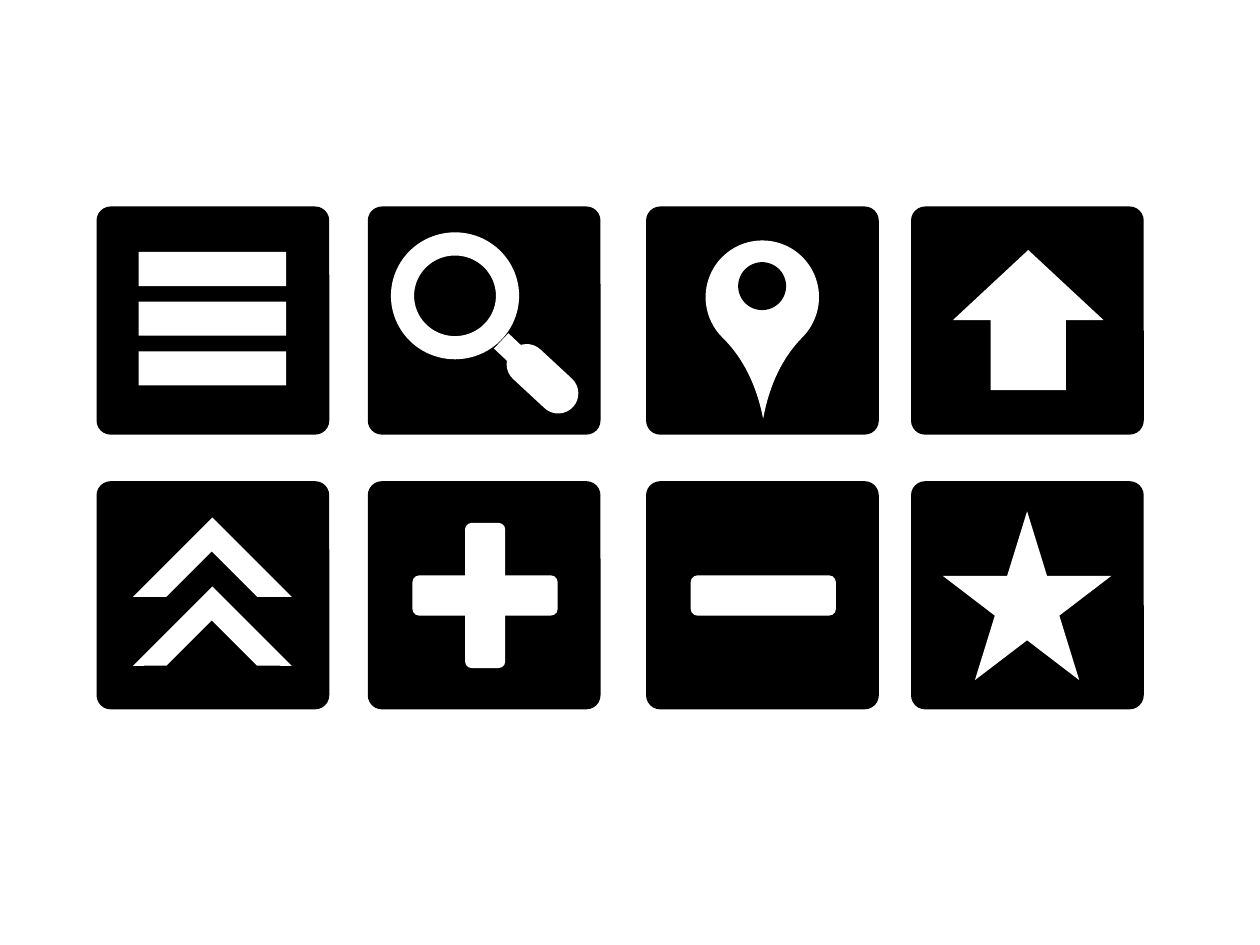
from pptx import Presentation
from pptx.dml.color import RGBColor
from pptx.enum.shapes import MSO_CONNECTOR, MSO_SHAPE
from pptx.oxml.ns import qn
from pptx.util import Pt
from lxml.etree import SubElement

BLACK, WHITE = "000000", "FFFFFF"


def add_icon_part(shapes, kind, left, top, width, height, color=WHITE, rotation=0, adjustments=()):
    """Add a filled preset shape without outline, measured in points."""
    part = shapes.add_shape(kind, Pt(left), Pt(top), Pt(width), Pt(height))
    part.shadow.inherit = False
    part.fill.solid()
    part.fill.fore_color.rgb = RGBColor.from_string(color)
    part.line.fill.background()
    part.rotation = rotation
    for index, value in enumerate(adjustments):
        part.adjustments[index] = value
    return part


def add_handle(shapes, start, end, weight, cap):
    """Add a white line with the given end cap, measured in points."""
    handle = shapes.add_connector(MSO_CONNECTOR.STRAIGHT, *map(Pt, start + end))
    handle.line.color.rgb = RGBColor.from_string(WHITE)
    handle.line.width = Pt(weight)
    handle.line._get_or_add_ln().set("cap", cap)
    SubElement(handle._element.spPr, qn("a:effectLst"))


deck = Presentation()
deck.slide_width, deck.slide_height = Pt(720), Pt(540)
slide = deck.slides.add_slide(deck.slide_layouts[6])
shapes = slide.shapes

# Black tiles, two rows of four
for top in (118, 275):
    for left in (55.2, 210.2, 369.2, 520.6):
        add_icon_part(shapes, MSO_SHAPE.ROUNDED_RECTANGLE, left, top, 133, 130.4,
                      BLACK, adjustments=[0.062])

# Menu
menu = shapes.add_group_shape().shapes
for row in range(3):
    add_icon_part(menu, MSO_SHAPE.RECTANGLE, 79.2, 144 + 28.4 * row, 84.4, 19.5)

# Search
search = shapes.add_group_shape().shapes
lens = add_icon_part(search, MSO_SHAPE.OVAL, 230, 139.4, 60, 59.3)
lens.fill.background()
lens.line.color.rgb = RGBColor.from_string(WHITE)
lens.line.width = Pt(13.25)
add_handle(search, (286.4, 194.8), (321.8, 228.2), 12, "flat")
add_handle(search, (301, 208.1), (319, 224.8), 23, "rnd")

# Map pin
add_icon_part(shapes, MSO_SHAPE.TEAR, 403.2, 137.4, 64.8, 64.8,
              rotation=134.6, adjustments=[1.516])
add_icon_part(shapes, MSO_SHAPE.OVAL, 421.8, 149.8, 27.4, 27.4, BLACK)

# Up arrow and star
add_icon_part(shapes, MSO_SHAPE.UP_ARROW, 544.6, 142.9, 86, 80)
add_icon_part(shapes, MSO_SHAPE.STAR_5_POINT, 538.7, 292.2, 96.5, 96.5)

# Double chevron
chevrons = shapes.add_group_shape().shapes
for top in (309, 348.4):
    add_icon_part(chevrons, MSO_SHAPE.HALF_FRAME, 89.3, top, 64.1, 64.1,
                  rotation=45, adjustments=[0.218, 0.21])

# Plus (two crossed bars) and minus
for left, rotation in ((235.7, 0), (235.7, 90), (394.7, 0)):
    add_icon_part(shapes, MSO_SHAPE.ROUNDED_RECTANGLE, left, 328.8, 83, 23, rotation=rotation)

deck.save("out.pptx")
